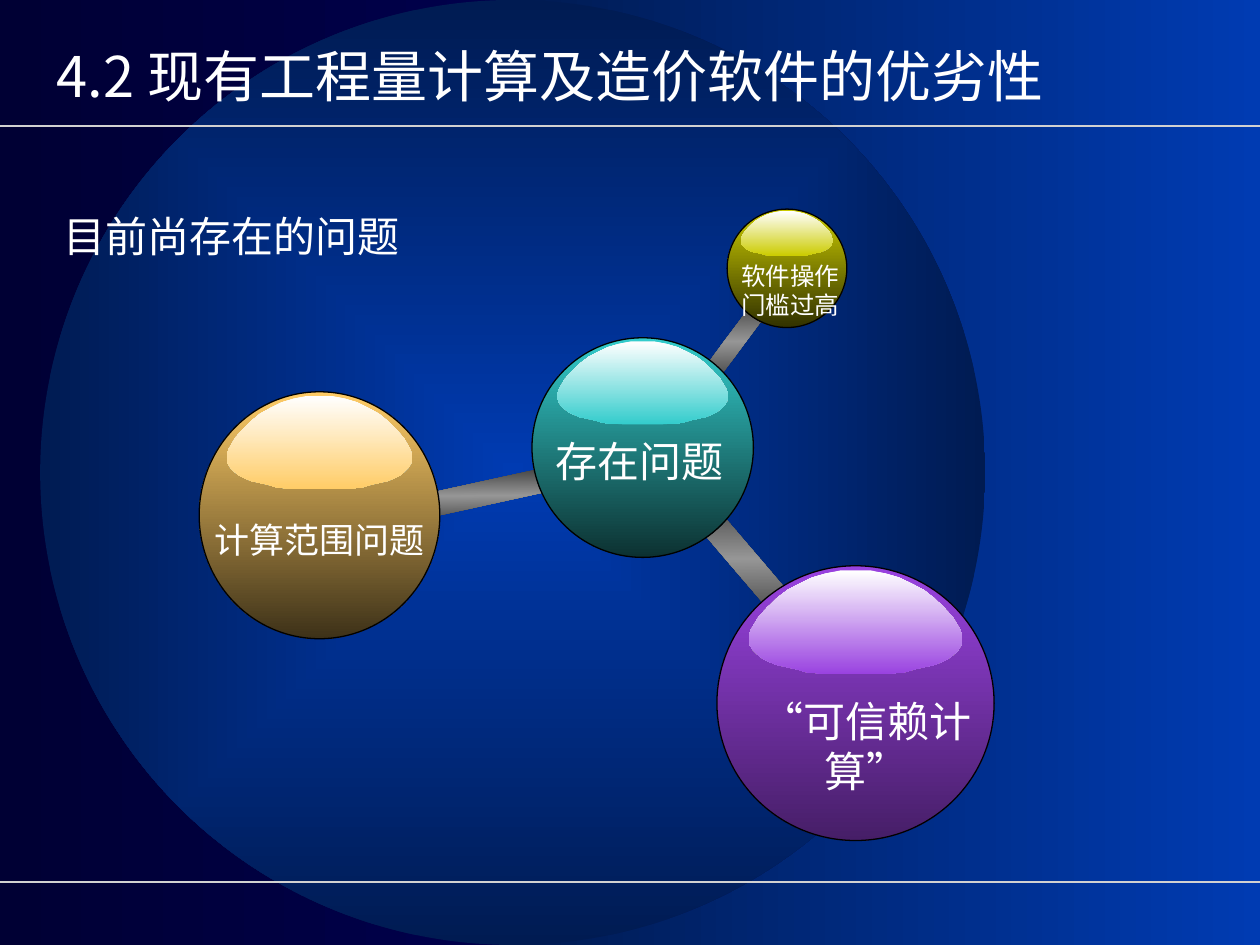
from lxml.etree import SubElement
from pptx import Presentation
from pptx.dml.color import RGBColor
from pptx.enum.shapes import MSO_CONNECTOR, MSO_SHAPE
from pptx.enum.text import MSO_ANCHOR, MSO_AUTO_SIZE, PP_ALIGN
from pptx.oxml.ns import qn
from pptx.util import Pt

TITLE = "4.2 现有工程量计算及造价软件的优劣性"
SUBTITLE = "目前尚存在的问题"
CJK_FONT = "Noto Sans CJK SC"
WHITE = "FFFFFF"
GLOW = ["003BB2", "001B52"]
METAL = ["454545", "969696", "454545"]

BARS = [
    ((386.6, 311.8, 75.6, 15.1), 229.5, 220),
    ((230.4, 276.5, 79.2, 13.7), 347.6, 102),
    ((396.7, 190.1, 46.8, 10.1), 306.6, 143),
]
BALLS = [
    dict(box=(304, 193, 126.5, 125.5), colors=["33CCCC", "0C3131"], lines=["存在问题"],
         label=(310.3, 245.5, 110.2, 36), size=24, font="Arial"),
    dict(box=(415.5, 119.5, 68.4, 67.7), colors=["CCCC00", "313100"], lines=["软件操作", "门槛过高"],
         label=(416.2, 145.4, 70.6, 41), size=14, font="DejaVu Sans"),
    dict(box=(113.8, 223.9, 137.5, 141.1), colors=["FFCC66", "3D3118"], lines=["计算范围问题"],
         label=(115.2, 293, 134.6, 31.7), size=20, font="Arial"),
    dict(box=(409.7, 323.3, 158.4, 157), colors=["9942E0", "461E67"], lines=["“可信赖计算”"],
         label=(411.8, 393.8, 167, 36), size=24, font="Arial", wrap=True, margin=14.4),
]
SHINE_HALF = [
    (0, 0), (.14, 0), (.28, .03), (.41, .07), (.53, .13), (.64, .19), (.74, .27), (.83, .36),
    (.91, .45), (.98, .57), (1, .63), (1, .67), (.99, .72), (.96, .77), (.92, .81), (.87, .85),
    (.81, .88), (.74, .91), (.65, .93), (.56, .95), (.46, .98), (.35, .99), (.2, 1),
]


def rgb(color):
    return RGBColor.from_string(color)


def points(box):
    return [Pt(value) for value in box]


def paint(owner, fill, colors, angle=None):
    fill.gradient()
    gradient = owner.find(".//" + qn("a:gradFill"))
    for child in list(gradient):
        gradient.remove(child)
    stops = SubElement(gradient, qn("a:gsLst"))
    for index, color in enumerate(colors):
        position = 100000 * index // (len(colors) - 1)
        stop = SubElement(stops, qn("a:gs"), pos=str(position))
        SubElement(stop, qn("a:srgbClr"), val=color)
    if angle is None:
        center = SubElement(gradient, qn("a:path"), path="rect")
        SubElement(center, qn("a:fillToRect"), l="50000", t="50000", r="50000", b="50000")
    else:
        SubElement(gradient, qn("a:lin"), ang=str(angle * 60000), scaled="0")


def finish(shape, colors, angle=None, outline=False):
    shape.shadow.inherit = False
    paint(shape.element, shape.fill, colors, angle)
    if outline:
        shape.line.color.rgb = rgb("000000")
        shape.line.width = Pt(0.75)
    else:
        shape.line.fill.background()
    return shape


def add_filled(shapes, kind, box, colors, angle=None, outline=False):
    return finish(shapes.add_shape(kind, *points(box)), colors, angle, outline)


def write(frame, lines, size, font, align):
    for index, line in enumerate(lines):
        paragraph = frame.add_paragraph() if index else frame.paragraphs[0]
        paragraph.alignment = align
        run = paragraph.add_run()
        run.text = line
        run.font.size = Pt(size)
        run.font.name = font
        run.font.color.rgb = rgb(WHITE)
        if font == CJK_FONT:
            SubElement(run.font._element, qn("a:ea"), typeface=font)


def add_label(shapes, box, lines, size, font, wrap=False, margin=7.2):
    frame = shapes.add_textbox(*points(box)).text_frame
    frame.word_wrap = wrap
    frame.auto_size = MSO_AUTO_SIZE.SHAPE_TO_FIT_TEXT
    frame.margin_left = frame.margin_right = Pt(margin)
    write(frame, lines, size, font, PP_ALIGN.CENTER)
    return frame


def add_shine(shapes, box, color):
    left, top, width, height = box
    mirrored = [(-x, y) for x, y in reversed(SHINE_HALF[1:])]
    outline = [
        (Pt(left + width * (.5 + .385 * x)), Pt(top + height * (.017 + .378 * y)))
        for x, y in SHINE_HALF + mirrored
    ]
    builder = shapes.build_freeform(*outline[0])
    builder.add_line_segments(outline[1:], close=True)
    finish(builder.convert_to_shape(), [WHITE, color], 90)


def add_ball(shapes, box, colors, label, **text):
    group = shapes.add_group_shape().shapes
    add_filled(group, MSO_SHAPE.OVAL, box, colors, 90, outline=True)
    add_shine(group, box, colors[0])
    add_label(group, label, **text)


def add_rule(shapes, y):
    rule = shapes.add_connector(MSO_CONNECTOR.STRAIGHT, *points((0, y, 720, y)))
    rule.line.color.rgb = rgb("D1D1D1")
    rule.line.width = Pt(1)
    SubElement(rule.element.spPr, qn("a:effectLst"))


def main():
    presentation = Presentation()
    presentation.slide_width, presentation.slide_height = Pt(720), Pt(540)
    slide = presentation.slides.add_slide(presentation.slide_layouts[5])
    shapes = slide.shapes
    paint(slide.element, slide.background.fill, ["000072", "000034"], 180)

    add_filled(shapes, MSO_SHAPE.RECTANGLE, (294, 0, 426, 540), GLOW, 180)
    add_filled(shapes, MSO_SHAPE.OVAL, (23, 0, 540, 540), GLOW)
    for y in (72, 504):
        add_rule(shapes, y)

    title = shapes.title
    title.left, title.top, title.width, title.height = points((0, 10, 604, 66))
    title.element.getparent().append(title.element)
    title.text_frame.vertical_anchor = MSO_ANCHOR.MIDDLE
    write(title.text_frame, [TITLE], 32, CJK_FONT, PP_ALIGN.RIGHT)

    for box, rotation, angle in BARS:
        add_filled(shapes, MSO_SHAPE.RECTANGLE, box, METAL, angle).rotation = rotation
    for ball in BALLS:
        add_ball(shapes, **ball)

    subtitle = add_label(shapes, (25, 116.6, 215, 36), [SUBTITLE], 24, CJK_FONT, wrap=True)
    subtitle.paragraphs[0].space_before = Pt(15)
    presentation.save("out.pptx")


if __name__ == "__main__":
    main()
